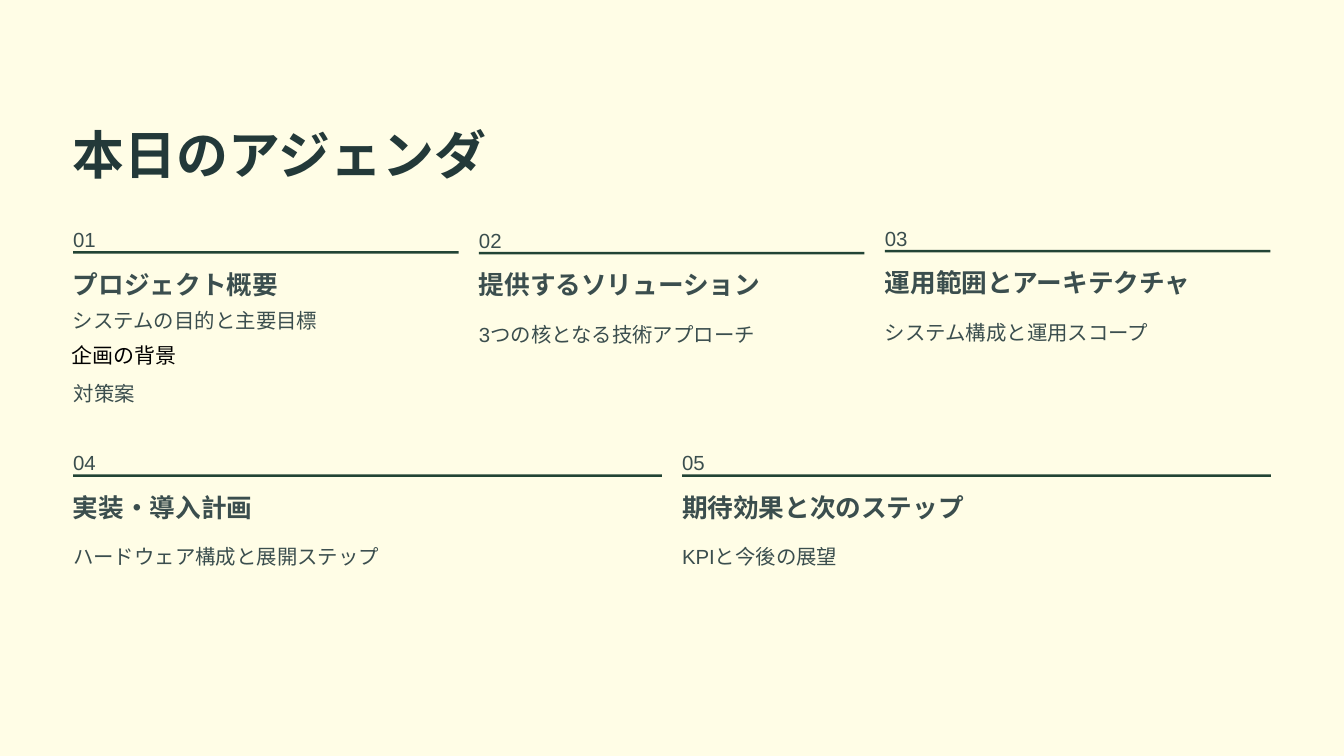
"""Build the agenda slide with five numbered topics."""
from dataclasses import dataclass

from pptx import Presentation
from pptx.dml.color import RGBColor
from pptx.enum.shapes import MSO_SHAPE
from pptx.slide import Slide
from pptx.util import Pt


@dataclass(frozen=True)
class Style:
    """Type style of one kind of text."""
    size: float
    color: str
    lead: float | None = None
    bold: bool = False
    font: str = "Arial"


@dataclass(frozen=True)
class Theme:
    """Colours and type styles of the slide."""
    back: str = "FFFDE6"
    rule: str = "224435"
    title: Style = Style(44.5, "233939", 55.5, True)
    head: Style = Style(22, "3B4E4E", 27.5, True)
    body: Style = Style(17.5, "3B4E4E", 28.5)
    plain: Style = Style(18, "000000", font="Calibri")


@dataclass(frozen=True)
class Topic:
    """One agenda entry; head is the width of its heading box."""
    left: float
    top: float
    width: float
    head: float
    name: str
    note: str
    note_wide: float
    drop: float = 80.3


THEME = Theme()
WIDE, HIGH = 1152, 648
LEFT = 62.6
THIRD, HALF = 347.9, 522
THIRD_WIDE, HALF_WIDE = 330.5, 504.7
LOW = 378.7

TOPICS = [
    Topic(LEFT, 187.2, THIRD_WIDE, 223.2, "プロジェクト概要",
          "システムの目的と主要目標", 223.2, 69.1),
    Topic(LEFT + THIRD, 187.9, THIRD_WIDE, 244.8, "提供するソリューション",
          "3つの核となる技術アプローチ", THIRD_WIDE),
    Topic(LEFT + 2 * THIRD, 186.2, THIRD_WIDE, 266.4, "運用範囲とアーキテクチャ",
          "システム構成と運用スコープ", THIRD_WIDE),
    Topic(LEFT, LOW, HALF_WIDE, 223.2, "実装・導入計画",
          "ハードウェア構成と展開ステップ", HALF_WIDE),
    Topic(LEFT + HALF, LOW, HALF_WIDE, 245.5, "期待効果と次のステップ",
          "KPIと今後の展望", HALF_WIDE),
]


def add_text(slide: Slide, text: str, left: float, top: float, width: float,
             height: float, style: Style, inset: bool = False) -> None:
    """Add a one-line text box in the given style."""
    box = slide.shapes.add_textbox(Pt(left), Pt(top), Pt(width), Pt(height))
    frame = box.text_frame
    frame.word_wrap = inset
    if not inset:
        frame.margin_left = frame.margin_right = Pt(0)
        frame.margin_top = frame.margin_bottom = Pt(0)
    line = frame.paragraphs[0]
    line.text = text
    if style.lead:
        line.line_spacing = Pt(style.lead)
    line.font.name = style.font
    line.font.size = Pt(style.size)
    line.font.bold = style.bold
    line.font.color.rgb = RGBColor.from_string(style.color)


def add_block(slide: Slide, left: float, top: float, width: float,
              height: float, color: str) -> None:
    """Add a plain filled rectangle."""
    block = slide.shapes.add_shape(
        MSO_SHAPE.RECTANGLE, Pt(left), Pt(top), Pt(width), Pt(height))
    block.shadow.inherit = False
    block.fill.solid()
    block.fill.fore_color.rgb = RGBColor.from_string(color)
    block.line.fill.background()


def add_topic(slide: Slide, rank: int, topic: Topic) -> None:
    """Add number, bar, heading and note of one topic."""
    left, top = topic.left, topic.top
    add_text(slide, f"{rank:02}", left, top, 21, 22.3, THEME.body)
    add_block(slide, left, top + 28, topic.width, 2.2, THEME.rule)
    add_text(slide, topic.name, left, top + 41.8, topic.head, 28, THEME.head)
    add_text(slide, topic.note, left, top + topic.drop, topic.note_wide, 28.8,
             THEME.body)


def main() -> None:
    """Draw the slide and save it."""
    deck = Presentation()
    deck.slide_width, deck.slide_height = Pt(WIDE), Pt(HIGH)
    slide = deck.slides.add_slide(deck.slide_layouts[6])
    add_block(slide, 0, 0, WIDE, HIGH, THEME.back)
    add_text(slide, "本日のアジェンダ", LEFT, 103.2, 446.4, 56.2, THEME.title)
    for rank, topic in enumerate(TOPICS, 1):
        add_topic(slide, rank, topic)
    add_text(slide, "企画の背景", 54, 290.2, 173.5, 28.8, THEME.plain, True)
    add_text(slide, "対策案", LEFT + 0.8, 319, 79.2, 28.8, THEME.body)
    deck.save("out.pptx")


if __name__ == "__main__":
    main()
